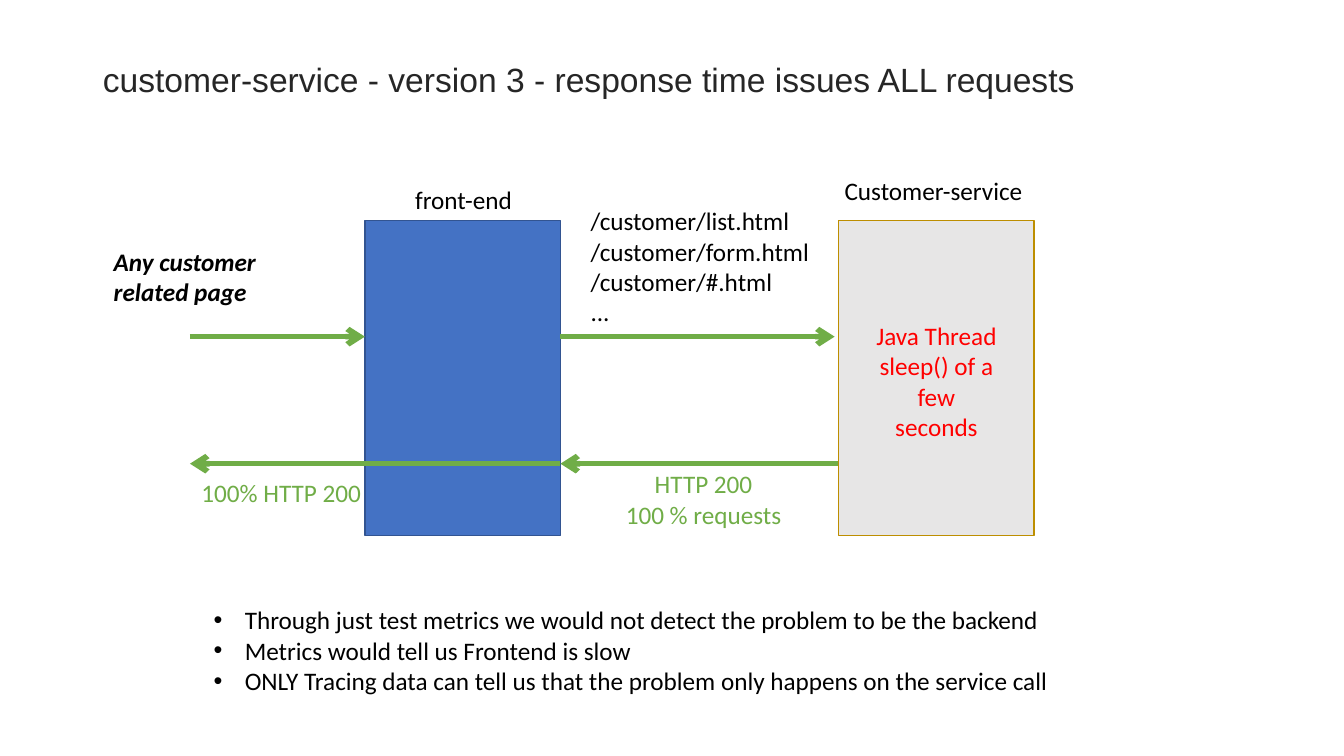
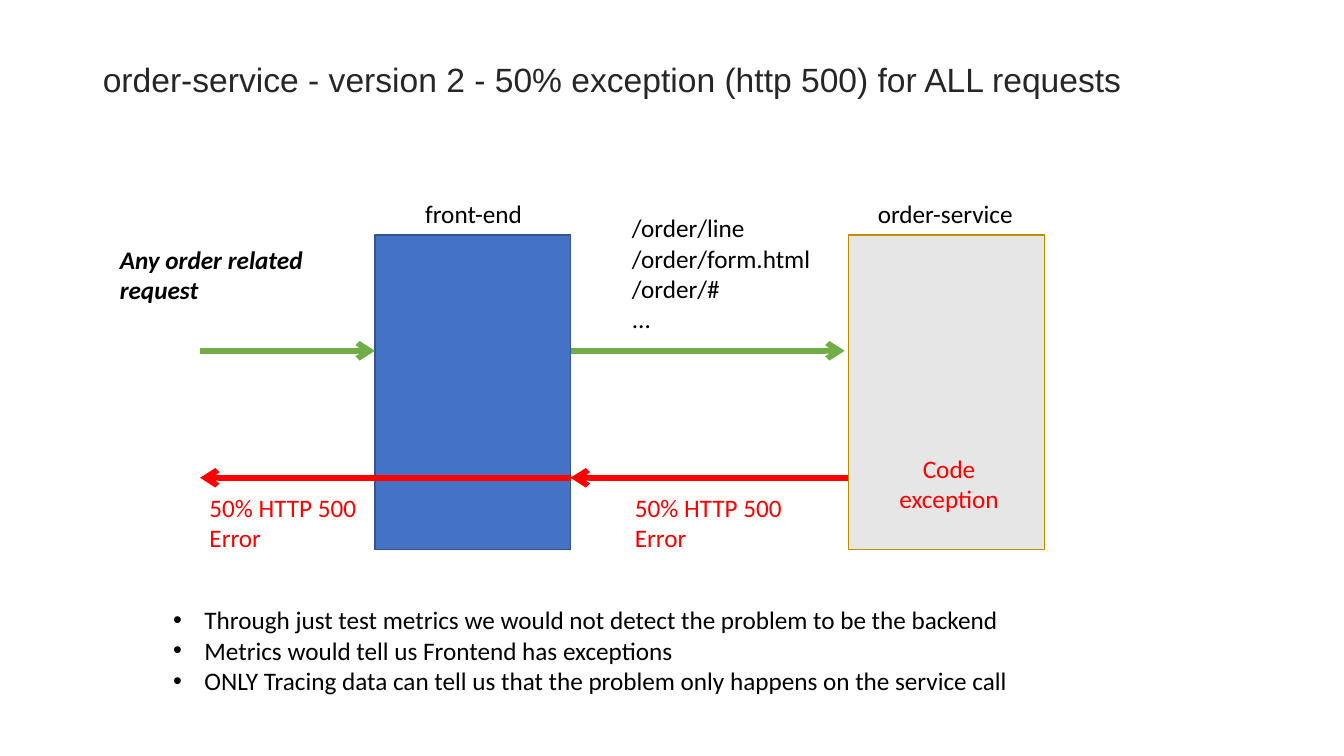
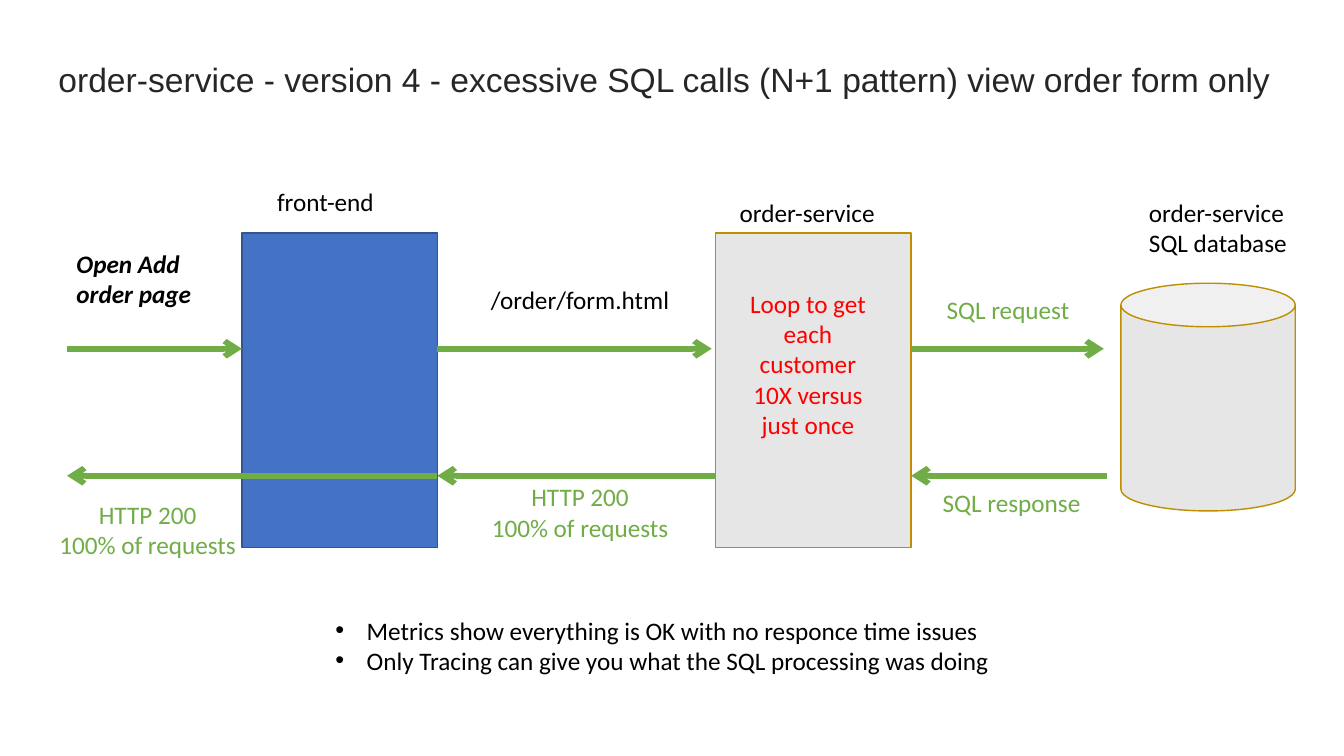
"""Builds three slides that trace faulty requests through a front-end and its backend services."""
from lxml import etree
from pptx import Presentation
from pptx.dml.color import RGBColor
from pptx.enum.shapes import MSO_CONNECTOR, MSO_SHAPE
from pptx.enum.text import MSO_ANCHOR, MSO_AUTO_SIZE, PP_ALIGN
from pptx.oxml.ns import qn
from pptx.util import Inches, Pt

LEFT, CENTER = PP_ALIGN.LEFT, PP_ALIGN.CENTER
MIDDLE, NO_FIT, GROW = MSO_ANCHOR.MIDDLE, MSO_AUTO_SIZE.NONE, MSO_AUTO_SIZE.SHAPE_TO_FIT_TEXT
STRAIGHT = MSO_CONNECTOR.STRAIGHT
RECTANGLE, CAN = MSO_SHAPE.RECTANGLE, MSO_SHAPE.CAN

BLACK = RGBColor(0x00, 0x00, 0x00)
CHARCOAL = RGBColor(0x26, 0x26, 0x26)
BLUE = RGBColor(0x44, 0x72, 0xC4)
NAVY = RGBColor(0x32, 0x54, 0x91)
GREY = RGBColor(0xE7, 0xE6, 0xE6)
GOLD = RGBColor(0xBD, 0x8E, 0x00)
GREEN = RGBColor(0x70, 0xAD, 0x47)
RED = RGBColor(0xFF, 0x00, 0x00)

GRID = Inches(0.1)
COLUMNS, ROWS = 133.33, 75
BOX_WIDTH, BOX_HEIGHT = 19.4, 31.2
SERVICE_OFFSET = 47
REQUEST_ROW, REPLY_ROW = 11.5, 24.1
CLIENT_OFFSET = -17.35
INDENT = Inches(0.31)

STYLES = {
    "label": (BLACK, LEFT),
    "caller": (BLACK, LEFT),
    "bullets": (BLACK, LEFT),
    "cause": (RED, CENTER),
    "error": (RED, LEFT),
    "success": (GREEN, CENTER),
}

SLIDES = [
    {
        "title": "customer-service - version 3 - response time issues ALL requests",
        "margin": 9.2, "front": (36.2, 21.9), "reply": GREEN, "database": False,
        "texts": [
            ("label", 40.2, 17.8, 11.7, 4, ["front-end"]),
            ("label", 82.8, 16.9, 19.9, 4, ["Customer-service"]),
            ("success", 61, 46, 17.6, 7.1, ["HTTP 200", "100 % requests"]),
            ("success", 18.9, 46.9, 18, 4, ["100% HTTP 200"]),
            ("cause", 85.7, 31.3, 14.4, 13.1, ["Java Thread sleep() of a few seconds"]),
            ("bullets", 20.2, 59.5, 85.2, 13.1, [
                "Through just test metrics we would not detect the problem to be the backend",
                "Metrics would tell us Frontend is slow",
                "ONLY Tracing data can tell us that the problem only happens on the service call"]),
            ("caller", 10.3, 23.9, 21.7, 7.1, ["Any customer related page"]),
            ("label", 57.6, 19.9, 23.9, 16.2, [
                "/customer/list.html", "/customer/form.html", "/customer/#.html", "..."]),
        ],
    },
    {
        "title": "order-service - version 2 - 50% exception (http 500) for ALL requests",
        "margin": 9.2, "front": (37.2, 23.3), "reply": RED, "database": False,
        "texts": [
            ("label", 41.2, 19.2, 11.7, 4, ["front-end"]),
            ("label", 86.1, 19.2, 15.6, 4, ["order-service"]),
            ("cause", 86.7, 44.5, 14.9, 7.1, ["Code exception"]),
            ("label", 61.7, 20.6, 19.9, 16.2, ["/order/line", "/order/form.html", "/order/#", "..."]),
            ("bullets", 16.2, 59.5, 89.9, 13.1, [
                "Through just test metrics we would not detect the problem to be the backend",
                "Metrics would tell us Frontend has exceptions",
                "ONLY Tracing data can tell us that the problem only happens on the service call"]),
            ("caller", 10.9, 23.7, 22, 7.1, ["Any order related request"]),
            ("error", 19.8, 48.3, 16.7, 7.1, ["50% HTTP 500", "Error"]),
            ("error", 62, 48.3, 16.7, 7.1, ["50% HTTP 500", "Error"]),
        ],
    },
    {
        "title": "order-service - version 4 - excessive SQL calls (N+1 pattern) view order form only",
        "margin": 4.8, "front": (24, 23.1), "reply": GREEN, "database": True,
        "texts": [
            ("label", 26.5, 18, 11.7, 4, ["front-end"]),
            ("label", 72.4, 19.1, 15.6, 4, ["order-service"]),
            ("success", 47.7, 47.3, 19.7, 7.1, ["HTTP 200", "100% of requests"]),
            ("cause", 72.7, 28.1, 14.9, 16.2, ["Loop to get each customer 10X versus just once"]),
            ("bullets", 32.3, 60.5, 67.6, 7.1, [
                "Metrics show everything is OK with no responce time issues",
                "Only Tracing can give you what the SQL processing was doing"]),
            ("caller", 6.6, 24.1, 13.8, 7.1, ["Open Add order page"]),
            ("label", 47.7, 27.7, 19.9, 4, ["/order/form.html"]),
            ("label", 113, 19.1, 15.8, 7.1, ["order-service", "SQL database"]),
            ("success", 92.4, 47.9, 15.9, 4, ["SQL response"]),
            ("success", 92.8, 28.7, 14.4, 4, ["SQL request"]),
            ("success", 4.8, 49, 19.7, 7.1, ["HTTP 200", "100% of requests"]),
        ],
    },
]


def cells(*counts):
    """Turn grid counts into lengths."""
    return [round(count * GRID) for count in counts]


def write(page, kind, left, top, width, height, lines):
    """Add a text box in one of the shared styles."""
    colour, alignment = STYLES[kind]
    frame = page.shapes.add_textbox(*cells(left, top, width, height)).text_frame
    frame.word_wrap = True
    frame.auto_size = GROW
    for number, line in enumerate(lines):
        para = frame.add_paragraph() if number else frame.paragraphs[0]
        para.alignment = alignment
        span = para.add_run()
        span.text = line
        span.font.name = "Calibri"
        span.font.size = Pt(18)
        span.font.color.rgb = colour
        if kind == "caller":
            span.font.bold = span.font.italic = True
        if kind == "bullets":
            properties = para._p.get_or_add_pPr()
            properties.set("marL", str(INDENT))
            properties.set("indent", str(-INDENT))
            etree.SubElement(properties, qn("a:buFont")).set("typeface", "Arial")
            etree.SubElement(properties, qn("a:buChar")).set("char", "•")


deck = Presentation()
deck.slide_width, deck.slide_height = cells(COLUMNS, ROWS)
title_only = deck.slide_layouts[5]

for content in SLIDES:
    page = deck.slides.add_slide(title_only)
    margin = content["margin"]
    title = page.shapes.title
    title.left, title.top, title.width, title.height = cells(margin, 4, COLUMNS - 2 * margin, 8.1)
    title.text_frame.vertical_anchor = MIDDLE
    title.text_frame.auto_size = NO_FIT
    para = title.text_frame.paragraphs[0]
    para.alignment = LEFT
    para.line_spacing = 0.9
    span = para.add_run()
    span.text = content["title"]
    span.font.name = "Arial"
    span.font.size = Pt(24)
    span.font.color.rgb = CHARCOAL

    left, top = content["front"]
    service = left + SERVICE_OFFSET
    front_edge, service_edge = left + BOX_WIDTH, service + BOX_WIDTH
    client = left + CLIENT_OFFSET
    nodes = [
        (RECTANGLE, left, top, BOX_WIDTH, BOX_HEIGHT, BLUE, NAVY),
        (RECTANGLE, service, top, BOX_WIDTH, BOX_HEIGHT, GREY, GOLD),
    ]
    arrows = [
        (client, left, REQUEST_ROW, GREEN),
        (front_edge, service - 0.4, REQUEST_ROW, GREEN),
        (service - 0.1, front_edge, REPLY_ROW, content["reply"]),
        (front_edge, client, REPLY_ROW, content["reply"]),
    ]
    if content["database"]:
        nodes.append((CAN, 111.2, 28.1, 17.3, 22.6, GREY, GOLD))
        arrows.append((service_edge, 109.5, REQUEST_ROW, GREEN))
        arrows.append((109.8, service_edge, REPLY_ROW, GREEN))

    for preset, *place, fill, outline in nodes:
        node = page.shapes.add_shape(preset, *cells(*place))
        node.shadow.inherit = False
        node.fill.solid()
        node.fill.fore_color.rgb = fill
        node.line.color.rgb = outline
        node.line.width = Pt(1)

    for start, end, row, colour in arrows:
        arrow = page.shapes.add_connector(STRAIGHT, *cells(start, top + row, end, top + row))
        arrow.line.color.rgb = colour
        arrow.line.width = Pt(4)
        etree.SubElement(arrow.line._get_or_add_ln(), qn("a:tailEnd")).set("type", "arrow")
        etree.SubElement(arrow._element.spPr, qn("a:effectLst"))

    for text in content["texts"]:
        write(page, *text)

deck.save("out.pptx")
